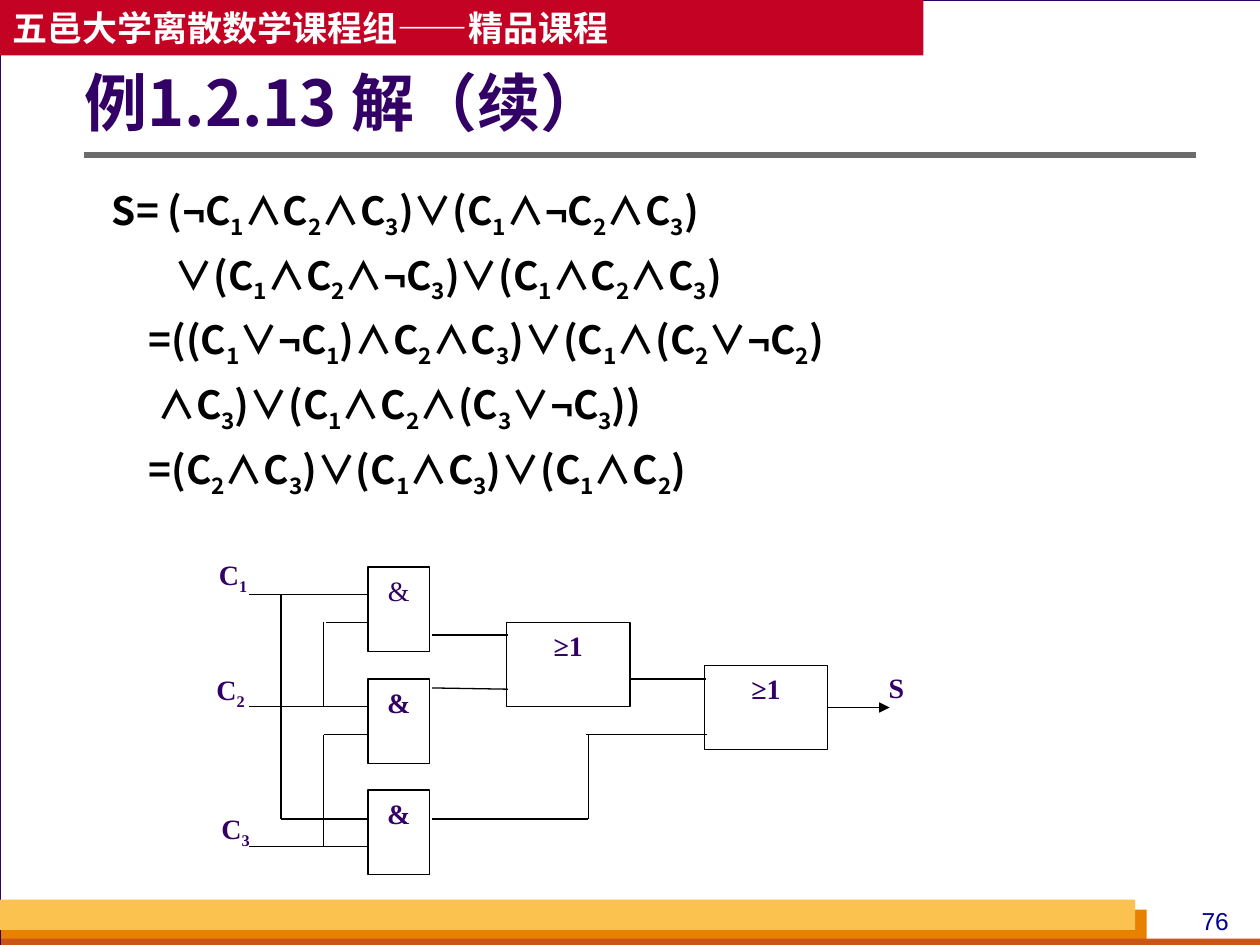
"""Build the slide that simplifies S and draws its logic circuit."""
from itertools import groupby

from lxml.etree import SubElement
from pptx import Presentation
from pptx.dml.color import RGBColor
from pptx.enum.shapes import MSO_CONNECTOR, MSO_SHAPE
from pptx.enum.text import MSO_ANCHOR, PP_ALIGN
from pptx.oxml.ns import qn
from pptx.util import Inches, Pt

WHITE = RGBColor(0xFF, 0xFF, 0xFF)
BLACK = RGBColor(0, 0, 0)
PURPLE = RGBColor(0x33, 0x00, 0x66)
RED = RGBColor(0xC3, 0x02, 0x24)
ORANGE = RGBColor(0xE8, 0x80, 0x00)
RUST = RGBColor(0xC9, 0x56, 0x16)
GOLD = RGBColor(0xFC, 0xC2, 0x4F)
GRAY = RGBColor(0x6B, 0x6B, 0x6B)
BLUE = RGBColor(0x00, 0x00, 0x99)
BACK = RGBColor(0xD8, 0xDA, 0xDA)
HAN, SANS, SERIF = "Noto Sans CJK SC", "Arial", "Times New Roman"

HEAD = "五邑大学离散数学课程组——精品课程"
TITLE = "例1.2.13 解（续）"
STEPS = [
    (0.12, "S= (¬C1∧C2∧C3)∨(C1∧¬C2∧C3)"),
    (0.62, "∨(C1∧C2∧¬C3)∨(C1∧C2∧C3)"),
    (0.41, "=((C1∨¬C1)∧C2∧C3)∨(C1∧(C2∨¬C2)"),
    (0.48, "∧C3)∨(C1∧C2∧(C3∨¬C3))"),
    (0.41, "=(C2∧C3)∨(C1∧C3)∨(C1∧C2)"),
]
BARS = [
    ((0.01, 7.22, 9.09, 0.28), ORANGE),
    ((0.01, 7.45, 10, 0.08), RUST),
    ((0, 7.14, 9.01, 0.24), GOLD),
]
LABELS = [
    ("C1", 1.48, 4.38, 0.74),
    ("C2", 1.46, 5.29, 0.74),
    ("C3", 1.5, 6.39, 0.74),
    ("S", 6.87, 5.27, 0.49),
]
GATES = [
    ("&", 2.92, 4.5, 0.49, False),
    ("&", 2.92, 5.39, 0.49, True),
    ("&", 2.92, 6.27, 0.49, True),
    ("≥1", 4.02, 4.94, 0.98, True),
    ("≥1", 5.59, 5.28, 0.98, True),
]
TALL = 0.67
INPUTS = [
    (1.98, 4.72, 2.94, 4.72), (2.59, 4.94, 3.33, 4.94),
    (1.98, 5.61, 2.94, 5.61), (2.57, 5.83, 3.3, 5.83),
    (2.23, 6.5, 3.21, 6.5), (1.98, 6.72, 2.94, 6.72),
]
WIRES = [
    (3.43, 6.5, 4.67, 6.5), (4.67, 5.83, 4.67, 6.5),
    (4.65, 5.83, 5.61, 5.83), (3.43, 5.04, 4.03, 5.04),
    (3.43, 5.46, 4.03, 5.47), (5, 5.39, 5.6, 5.39),
    (2.57, 4.94, 2.57, 5.61), (2.57, 5.83, 2.57, 6.72),
    (2.23, 4.72, 2.23, 6.5),
]
OUTPUT = (6.57, 5.61, 7.06, 5.61)


def add_run(para, text, size, face, color, bold, sub=False):
    run = para.add_run()
    run.text = text
    font = run.font
    font.size, font.name, font.bold = Pt(size), face, bold
    font.color.rgb = color
    SubElement(font._element, qn("a:ea")).set("typeface", face)
    if sub:
        font._element.set("baseline", "-25000")


def add_math(para, text, size, face, color, bold=True):
    def kind(char):
        return "sub" if char in "123" else "not" if char == "¬" else "main"

    for name, chars in groupby(text, kind):
        add_run(para, "".join(chars), size, SANS if name == "not" else face,
                color, bold, name == "sub")


def add_box(slide, place, fill, line=None):
    box = slide.shapes.add_shape(MSO_SHAPE.RECTANGLE, *map(Inches, place))
    box.shadow.inherit = False
    box.fill.solid()
    box.fill.fore_color.rgb = fill
    if line is None:
        box.line.fill.background()
    else:
        box.line.color.rgb = line
        box.line.width = Pt(0.75)
    return box


def add_text(slide, place):
    frame = slide.shapes.add_textbox(*map(Inches, place)).text_frame
    frame.word_wrap = True
    return frame


def add_line(slide, ends, color=BLACK, width=0.75):
    line = slide.shapes.add_connector(MSO_CONNECTOR.STRAIGHT, *map(Inches, ends))
    line.line.color.rgb = color
    line.line.width = Pt(width)
    SubElement(line._element.spPr, qn("a:effectLst"))
    return line


def add_frame(slide):
    add_box(slide, (0, 0, 10.01, 7.5), WHITE, PURPLE)
    head = add_box(slide, (0, 0, 7.33, 0.44), RED).text_frame
    head.vertical_anchor = MSO_ANCHOR.MIDDLE
    head.paragraphs[0].alignment = PP_ALIGN.LEFT
    add_run(head.paragraphs[0], HEAD, 20, HAN, WHITE, True)
    for place, color in BARS:
        add_box(slide, place, color)
    page = add_text(slide, (9.33, 7.14, 0.63, 0.34)).paragraphs[0]
    page.alignment = PP_ALIGN.CENTER
    add_run(page, "76", 14, SANS, BLUE, False)
    add_line(slide, (0.67, 1.23, 9.49, 1.23), GRAY, 3)


def add_proof(slide):
    title = add_text(slide, (0.67, 0.46, 8.82, 0.77))
    title.margin_left = 0
    title.vertical_anchor = MSO_ANCHOR.MIDDLE
    title.paragraphs[0].line_spacing = 0.9
    add_run(title.paragraphs[0], TITLE, 36, HAN, PURPLE, True)
    body = add_text(slide, (0.67, 1.39, 8.82, 2.84))
    for pos, (indent, text) in enumerate(STEPS):
        para = body.add_paragraph() if pos else body.paragraphs[0]
        para.line_spacing = 1.1
        para.space_before = Pt(3.7 if pos else 0)
        para._p.get_or_add_pPr().set("marL", str(Inches(indent)))
        add_math(para, text, 22.2, HAN, BLACK)


def add_node(slide, text, left, top, width, bold=True, line=None):
    box = add_box(slide, (left, top, width, TALL), WHITE, line)
    box.text_frame.vertical_anchor = MSO_ANCHOR.TOP
    para = box.text_frame.paragraphs[0]
    para.alignment = PP_ALIGN.CENTER
    if line is None:
        add_math(para, text, 16, SERIF, PURPLE, bold)
    else:
        add_run(para, text, 16, SERIF, PURPLE, bold)
    return box


def add_circuit(slide):
    for label in LABELS:
        add_node(slide, *label)
    for ends in INPUTS:
        add_line(slide, ends)
    gates = [add_node(slide, *gate, line=BLACK) for gate in GATES]
    for ends in WIRES:
        add_line(slide, ends)
    arrow = add_line(slide, OUTPUT)
    arrow.begin_connect(gates[-1], 3)
    arrow.end_y = arrow.begin_y
    SubElement(arrow.line._get_or_add_ln(), qn("a:tailEnd")).set("type", "triangle")


def main():
    deck = Presentation()
    deck.slide_width, deck.slide_height = Inches(10), Inches(7.5)
    slide = deck.slides.add_slide(deck.slide_layouts[6])
    slide.background.fill.solid()
    slide.background.fill.fore_color.rgb = BACK
    add_frame(slide)
    add_proof(slide)
    add_circuit(slide)
    deck.save("out.pptx")


if __name__ == "__main__":
    main()
